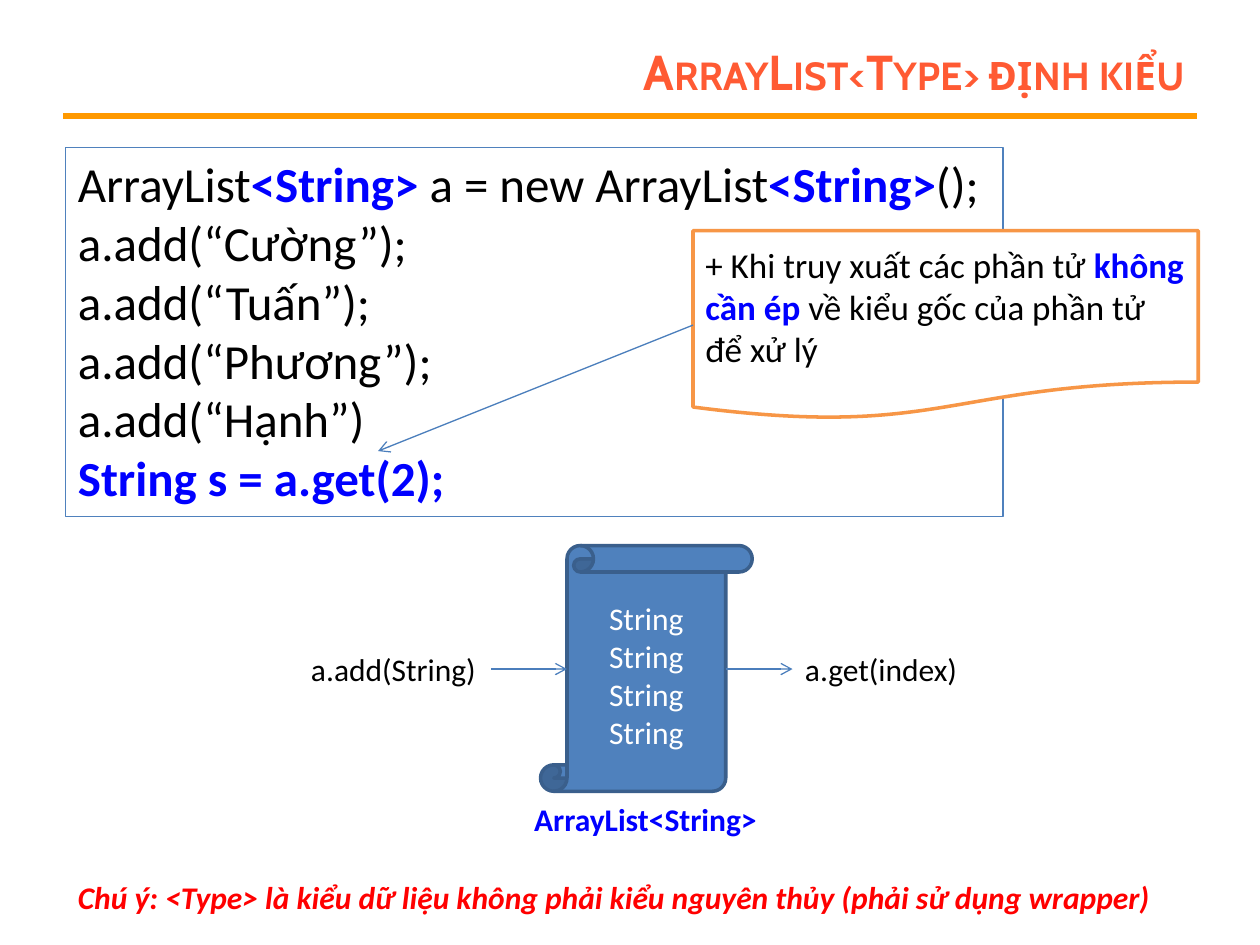
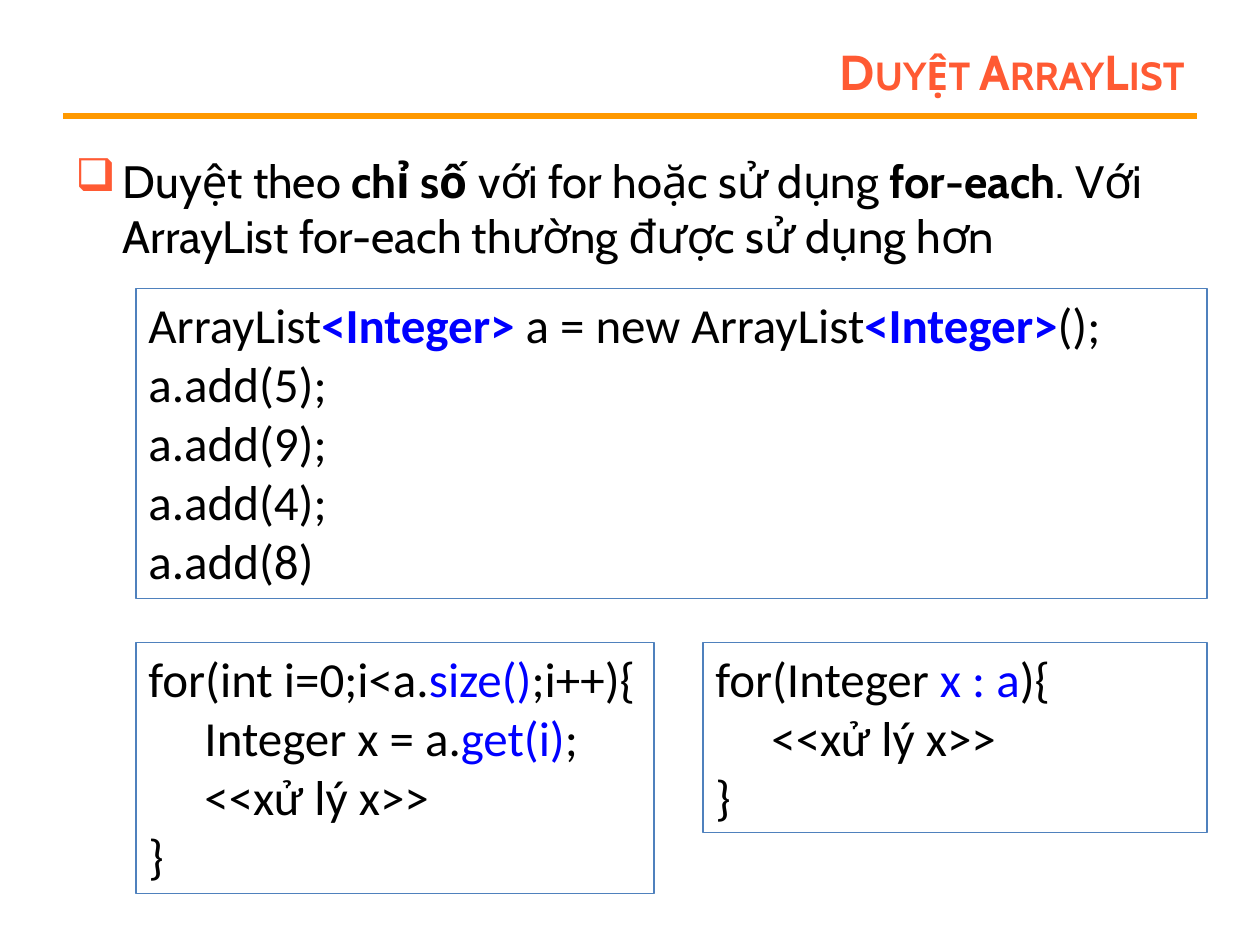
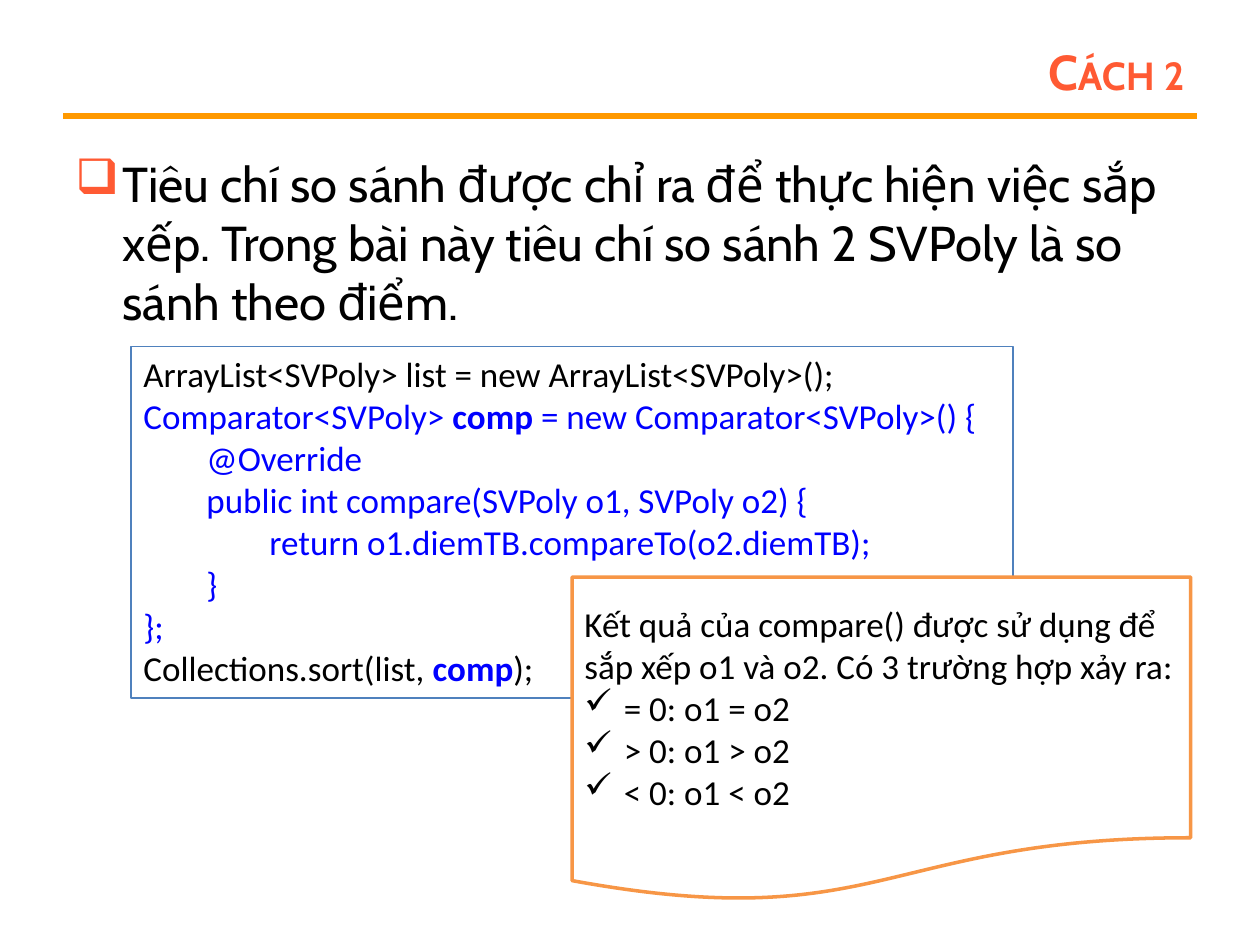
from collections import namedtuple
from dataclasses import dataclass

from lxml.etree import SubElement
from pptx import Presentation
from pptx.dml.color import RGBColor
from pptx.enum.shapes import MSO_CONNECTOR, MSO_SHAPE
from pptx.enum.text import MSO_ANCHOR, MSO_AUTO_SIZE, PP_ALIGN
from pptx.oxml.ns import qn
from pptx.util import Pt


@dataclass(frozen=True)
class Theme:
    heading_font: str = "Cabin"
    code_font: str = "Calibri"
    title: str = "FF5A33"
    rule: str = "FF9900"
    text: str = "000000"
    key: str = "0000FF"
    warning: str = "FF0000"
    white: str = "FFFFFF"
    box_line: str = "4F81BD"
    scroll_line: str = "3A5F8C"
    arrow: str = "4B7EBC"
    callout_line: str = "F79646"
    big: float = 28
    body_small: float = 25.9
    medium: float = 20
    small: float = 18


T = Theme()
Para = namedtuple("Para", "runs indent bullet bullet_color", defaults=(0, None, None))
BOLD, KEY, KEY_BOLD = (True, None), (False, T.key), (True, T.key)


def add_text(s, kind, at, paras, size, font=T.code_font, color=T.text, bold=False,
             italic=False, small_caps=False, align=PP_ALIGN.LEFT, anchor=MSO_ANCHOR.TOP,
             wrap=True, grow=False, before=0, fill=None, line=None, width=0.75):
    box = tuple(Pt(v) for v in at)
    if kind is None:
        sp = s.shapes.add_textbox(*box)
    else:
        sp = s.shapes.add_shape(kind, *box)
        sp.shadow.inherit = False
    if fill:
        sp.fill.solid()
        sp.fill.fore_color.rgb = RGBColor.from_string(fill)
    else:
        sp.fill.background()
    if line:
        sp.line.color.rgb = RGBColor.from_string(line)
        sp.line.width = Pt(width)
    tf = sp.text_frame
    tf.word_wrap = wrap
    tf.auto_size = MSO_AUTO_SIZE.SHAPE_TO_FIT_TEXT if grow else MSO_AUTO_SIZE.NONE
    tf.vertical_anchor = anchor
    for i, para in enumerate(paras):
        if isinstance(para, str):
            para = Para([para])
        p = tf.add_paragraph() if i else tf.paragraphs[0]
        p.alignment = align
        p.space_before = Pt(before)
        pPr = p._p.get_or_add_pPr()
        pPr.set("marL", str(Pt(para.indent)))
        pPr.set("indent", str(Pt(-para.indent if para.bullet else 0)))
        if para.bullet_color:
            SubElement(SubElement(pPr, qn("a:buClr")), qn("a:srgbClr")).set("val", para.bullet_color)
        if para.bullet:
            SubElement(pPr, qn("a:buChar")).set("char", para.bullet)
        for run in para.runs:
            text, (run_bold, run_color) = (run, (bold, None)) if isinstance(run, str) else run
            r = p.add_run()
            r.text = text
            r.font.name = font
            r.font.size = Pt(size)
            r.font.bold = run_bold
            r.font.italic = italic
            r.font.color.rgb = RGBColor.from_string(run_color or color)
            if small_caps:
                r.font._element.set("cap", "small")
    return sp


def add_line(s, x1, y1, x2, y2, color, width, arrow=False):
    cx = s.shapes.add_connector(MSO_CONNECTOR.STRAIGHT, Pt(x1), Pt(y1), Pt(x2), Pt(y2))
    cx.line.color.rgb = RGBColor.from_string(color)
    cx.line.width = Pt(width)
    if arrow:
        SubElement(cx.line._get_or_add_ln(), qn("a:tailEnd")).set("type", "arrow")
    SubElement(cx._element.spPr, qn("a:effectLst"))
    return cx


prs = Presentation()
prs.slide_width, prs.slide_height = Pt(720), Pt(540)

slides = []
for title in ("ArrayList<Type> định kiểu", "Duyệt ArrayList", "Cách 2"):
    s = prs.slides.add_slide(prs.slide_layouts[6])
    add_line(s, 36, 66.24, 684, 66.24, T.rule, 3)
    add_text(s, None, (162, 21.6, 522, 38.16), [title], T.big, T.heading_font, T.title,
             bold=True, small_caps=True, align=PP_ALIGN.RIGHT, anchor=MSO_ANCHOR.MIDDLE)
    slides.append(s)
typed, loops, sorting = slides

code = dict(kind=MSO_SHAPE.RECTANGLE, line=T.box_line, grow=True)
callout = dict(kind=MSO_SHAPE.FLOWCHART_DOCUMENT, size=T.medium, anchor=MSO_ANCHOR.MIDDLE,
               fill=T.white, line=T.callout_line, width=2)
label = dict(kind=None, size=T.small, wrap=False, grow=True)

s = typed
add_text(s, at=(37.44, 84.24, 535.68, 210.96), size=T.big, wrap=False, paras=[
    Para(["ArrayList", ("<String> ", KEY_BOLD), "a = new ArrayList", ("<String>", KEY_BOLD), "();"]),
    *[f"a.add(“{name}”);" for name in ("Cường", "Tuấn", "Phương")],
    "a.add(“Hạnh”)",
    Para([("String s = a.get(2);", KEY_BOLD)]),
], **code)
add_text(s, MSO_SHAPE.VERTICAL_SCROLL, (308.88, 311.76, 120.96, 140.4), ["String"] * 4, T.small,
         color=T.white, align=PP_ALIGN.CENTER, anchor=MSO_ANCHOR.MIDDLE,
         fill=T.box_line, line=T.scroll_line, width=2)
add_call = add_text(s, at=(170.64, 367.92, 110.16, 28.8), paras=["a.add(String)"], **label)
get_call = add_text(s, at=(452.88, 367.92, 102.24, 28.8), paras=["a.get(index)"], **label)
add_line(s, 280.8, 382.32, 324, 382.32, T.arrow, 0.75, True).begin_connect(add_call, 3)
add_line(s, 414.72, 382.32, 452.88, 382.32, T.arrow, 0.75, True).end_connect(get_call, 1)
add_text(s, at=(298.08, 453.6, 142.56, 28.8), paras=["ArrayList<String>"],
         color=T.key, bold=True, **label)
no_cast = add_text(s, at=(396, 131.76, 288.72, 108), paras=[
    Para(["+ Khi truy xuất các phần tử ", ("không cần ép ", KEY_BOLD),
          "về kiểu gốc của phần tử để xử lý"]),
], **callout)
add_line(s, 396, 185.76, 216, 257.76, T.arrow, 0.75, True).begin_connect(no_cast, 1)
add_text(s, at=(37.44, 498.24, 632.88, 28.8),
         paras=["Chú ý: <Type> là kiểu dữ liệu không phải kiểu nguyên thủy (phải sử dụng wrapper)"],
         color=T.warning, bold=True, italic=True, **label)

bodies = [
    (loops, 77.76, T.body_small,
     ["Duyệt theo ", ("chỉ số ", BOLD), "với for hoặc sử dụng ", ("for-each", BOLD),
      ". Với ArrayList for-each thường được sử dụng hơn"]),
    (sorting, 113.76, T.big,
     ["Tiêu chí so sánh được chỉ ra để thực hiện việc sắp xếp. Trong bài này tiêu chí "
      "so sánh 2 SVPoly là so sánh theo điểm."]),
]
for s, height, size, runs in bodies:
    add_text(s, None, (36, 84.24, 648, height), [Para(runs, 27, "❑", T.title)], size,
             T.heading_font, before=size * 0.2)

s = loops
add_text(s, at=(77.76, 164.88, 612, 177.12), size=T.big, paras=[
    Para(["ArrayList", ("<Integer> ", KEY_BOLD), "a = new ArrayList", ("<Integer>", KEY_BOLD), "();"]),
    *[f"a.add({n});" for n in (5, 9, 4)],
    "a.add(8)",
], **code)
add_text(s, at=(77.76, 367.2, 295.92, 143.28), size=T.big, wrap=False, paras=[
    Para(["for(int i=0;i<a.", ("size()", KEY), ";i++){"]),
    Para(["Integer x = a.", ("get(i)", KEY), ";"], 32),
    Para(["<<xử lý x>>"], 32),
    "}",
], **code)
add_text(s, at=(401.76, 367.2, 288, 108.72), size=T.big, paras=[
    Para(["for(Integer ", ("x : a", KEY), "){"]),
    Para(["<<xử lý x>>"], 32),
    "}",
], **code)

s = sorting
add_text(s, at=(74.88, 198, 504, 200.88), size=T.medium, paras=[
    "ArrayList<SVPoly> list = new ArrayList<SVPoly>();",
    Para([("Comparator<SVPoly> ", KEY), ("comp ", KEY_BOLD), ("= new Comparator<SVPoly>() {", KEY)]),
    Para([("@Override", KEY)], 36),
    Para([("public int compare(SVPoly o1, SVPoly o2) {", KEY)], 36),
    Para([("return o1.diemTB.compareTo(o2.diemTB);", KEY)], 72),
    Para([("}", KEY)], 36),
    Para([("};", KEY)]),
    Para(["Collections.sort(list, ", ("comp", KEY_BOLD), ");"]),
], **code)
add_text(s, at=(326.88, 329.76, 353.52, 185.76), paras=[
    "Kết quả của compare() được sử dụng để sắp xếp o1 và o2. Có 3 trường hợp xảy ra:",
    *[Para([f"{sign} 0: o1 {sign} o2"], 22.5, "✓") for sign in "=><"],
], **callout)

prs.save("out.pptx")
